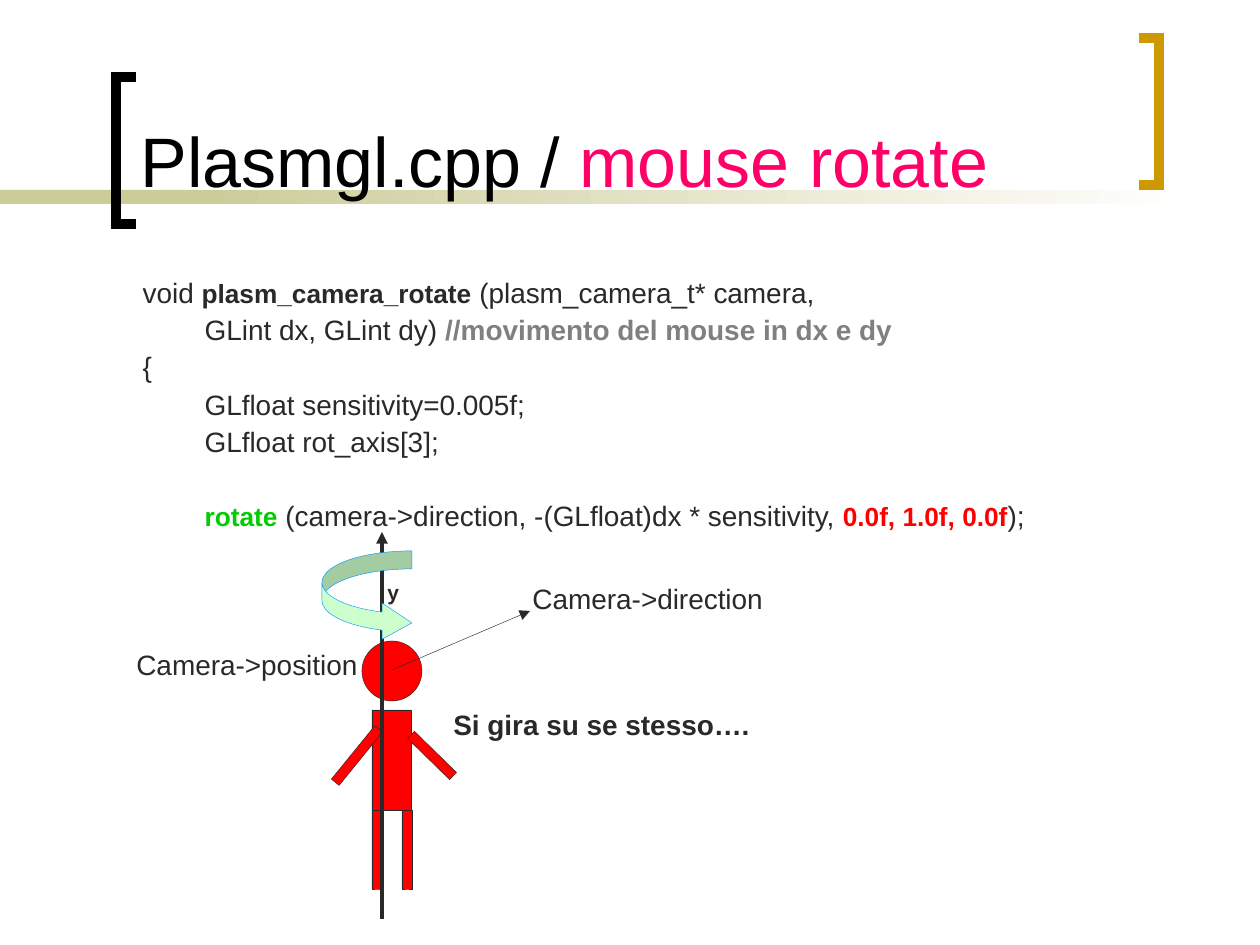
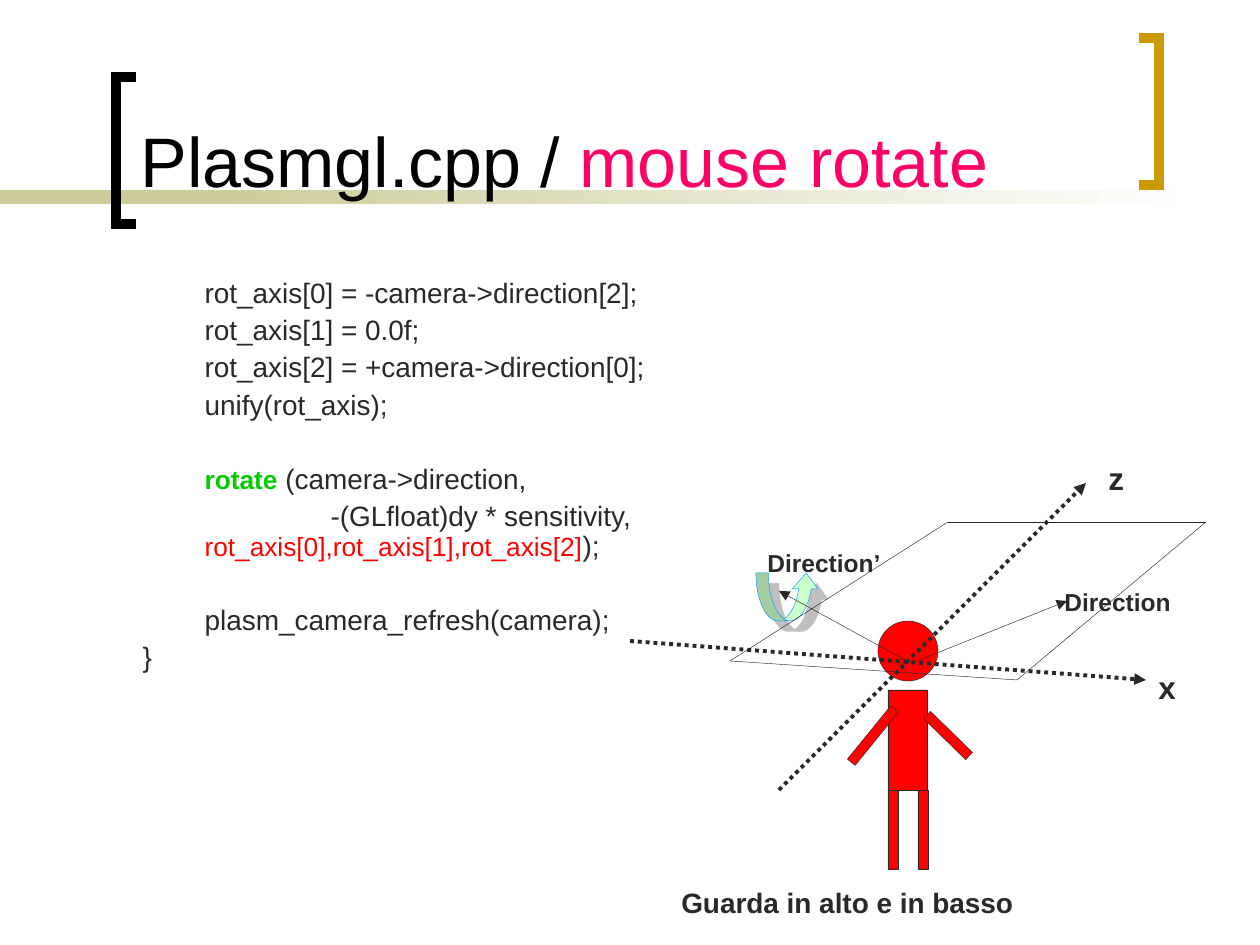
import typing

import lxml.etree
import pptx
import pptx.dml.color
import pptx.enum.dml
import pptx.enum.shapes
import pptx.enum.text
import pptx.oxml.ns
import pptx.util

SCALE = 914400 / 126  # EMU in one px
FONT = "Arial"
INK, BLACK, GREY = "292929", "000000", "808080"
RED, GREEN, PINK = "FF0000", "00CC00", "FF0066"
SAND, GOLD, WHITE = "CCCC99", "CC9900", "FFFFFF"
MINT, SKY = "CCFFCC", "0099FF"
THIN, THICK, HEAVY = 0.25, 2.25, 6
STEP, GAP = 4, 25  # points before a line, and before a new block
TAB = 62
FORM = pptx.enum.shapes.MSO_SHAPE
QN = pptx.oxml.ns.qn

Box = tuple[int, int, int, int]
Point = tuple[int, int]


class Span(typing.NamedTuple):
    text: str
    color: str = INK
    size: int = 16
    bold: bool = False


class Line(typing.NamedTuple):
    spans: list[Span]
    margin: int = TAB
    first: int = 0
    before: int = STEP


class Label(typing.NamedTuple):
    span: Span
    box: Box
    wrap: bool = False


class Ray(typing.NamedTuple):
    start: Point
    end: Point
    width: float = THIN
    dots: bool = False
    arrow: bool = True


class Limb(typing.NamedTuple):
    form: FORM
    box: Box
    turn: float = 0


BODY = [
    Limb(FORM.OVAL, (0, 0, 60, 60)),
    Limb(FORM.RECTANGLE, (10, 169, 10, 79)),
    Limb(FORM.RECTANGLE, (10, 69, 39, 100)),
    Limb(FORM.RECTANGLE, (40, 169, 10, 79)),
    Limb(FORM.RECTANGLE, (65, 85, 10, 59), 134.4),
    Limb(FORM.RECTANGLE, (-10, 80, 10, 69), 219.1),
]

TURN_CODE = [
    Line([Span("void "), Span("plasm_camera_rotate", size=15, bold=True),
          Span(" (plasm_camera_t* camera,")], margin=0),
    Line([Span("GLint dx, GLint dy) "),
          Span("//movimento del mouse in dx e dy", GREY, bold=True)]),
    Line([Span("{")], margin=0),
    Line([Span("GLfloat sensitivity=0.005f;")]),
    Line([Span("GLfloat rot_axis[3];")]),
    Line([Span("rotate", GREEN, 15, True),
          Span(" (camera->direction, -(GLfloat)dx * sensitivity, "),
          Span("0.0f, 1.0f, 0.0f", RED, 15, True), Span(");")], before=GAP),
]
TURN_TAGS = [
    Label(Span("y", size=12, bold=True), (375, 573, 37, 38)),
    Label(Span("Si gira su se stesso….", bold=True), (441, 701, 381, 47), True),
    Label(Span("Camera->direction"), (520, 575, 260, 47)),
    Label(Span("Camera->position"), (124, 641, 250, 47)),
]
TURN_RAYS = [
    Ray((382, 919), (382, 532), THICK),
    Ray((392, 670), (530, 611)),
]

TILT_CODE = [
    Line([Span("rot_axis[0] = -camera->direction[2];")]),
    Line([Span("rot_axis[1] = 0.0f;")]),
    Line([Span("rot_axis[2] = +camera->direction[0];")]),
    Line([Span("unify(rot_axis);")]),
    Line([Span("rotate", GREEN, 15, True), Span(" (camera->direction,")], before=GAP),
    Line([Span("-(GLfloat)dy * sensitivity, "),
          Span("rot_axis[0],rot_axis[1],rot_axis[2]", RED, 15), Span(");")], first=126),
    Line([Span("plasm_camera_refresh(camera);")], before=GAP),
    Line([Span("}")], margin=0),
]
TILT_TAGS = [
    Label(Span("Guarda in alto e in basso", bold=True), (669, 879, 381, 47), True),
    Label(Span("x", size=18, bold=True), (1146, 662, 43, 50)),
    Label(Span("z", size=18, bold=True), (1096, 453, 40, 50)),
    Label(Span("Direction", size=14, bold=True), (1052, 581, 140, 43)),
    Label(Span("Direction’", size=14, bold=True), (755, 542, 146, 43)),
]
PLANE = [(948, 522), (1206, 522), (1017, 680), (730, 661)]
TILT_RAYS = [Ray(a, b, arrow=False) for a, b in zip(PLANE, PLANE[1:] + PLANE[:1])] + [
    Ray((630, 641), (1146, 680), THICK, dots=True),
    Ray((779, 790), (1086, 483), THICK, dots=True),
    Ray((917, 661), (1067, 601)),
    Ray((907, 661), (779, 591)),
]


def px(n: int) -> pptx.util.Emu:
    return pptx.util.Emu(round(n * SCALE))


def rgb(code: str) -> pptx.dml.color.RGBColor:
    return pptx.dml.color.RGBColor.from_string(code)


def place(shape, box: Box) -> None:
    shape.left, shape.top, shape.width, shape.height = map(px, box)


def stroke(line, color: str, width: float) -> None:
    line.color.rgb = rgb(color)
    line.width = pptx.util.Pt(width)


def write(para, spans: list[Span]) -> None:
    for span in spans:
        run = para.add_run()
        run.text = span.text
        run.font.name = FONT
        run.font.size = pptx.util.Pt(span.size)
        run.font.bold = span.bold
        run.font.color.rgb = rgb(span.color)


def shape(slide, form: FORM, box: Box, fill: str, edge: str = ""):
    item = slide.shapes.add_shape(form, *map(px, box))
    item.shadow.inherit = False
    item.fill.solid()
    item.fill.fore_color.rgb = rgb(fill)
    if edge:
        stroke(item.line, edge, THIN)
    else:
        item.line.fill.background()
    return item


def bracket(slide, tip: int, spine: int, top: int, color: str):
    """Draw a square bracket with sharp corners."""
    base = top + 147
    form = slide.shapes.build_freeform(tip, top, SCALE)
    form.add_line_segments([(spine, top), (spine, base), (tip, base)], close=False)
    item = form.convert_to_shape()
    item.shadow.inherit = False
    item.fill.background()
    stroke(item.line, color, HEAVY)
    edge = item.element.spPr.find(QN("a:ln"))
    lxml.etree.SubElement(edge, QN("a:miter"), lim="800000")
    return item


def dress(layout, slide) -> None:
    """Build the bands and brackets, and hand them to the layout."""
    fade = shape(slide, FORM.RECTANGLE, (199, 190, 998, 14), SAND)
    fade.fill.gradient()
    fade.fill.gradient_angle = 180
    for stop, color in zip(fade.fill.gradient_stops, (WHITE, SAND)):
        stop.color.rgb = rgb(color)
    band = shape(slide, FORM.RECTANGLE, (0, 190, 199, 14), SAND)
    left = bracket(slide, 136, 116, 77, BLACK)
    right = bracket(slide, 1139, 1159, 38, GOLD)
    for item in (band, fade, left, right):
        layout.shapes.element.append(item.element)


def title(slide) -> None:
    head = slide.shapes.title
    place(head, (128, 14, 987, 194))
    frame = head.text_frame
    frame.auto_size = pptx.enum.text.MSO_AUTO_SIZE.NONE
    frame.vertical_anchor = pptx.enum.text.MSO_ANCHOR.BOTTOM
    para = frame.paragraphs[0]
    para.alignment = pptx.enum.text.PP_ALIGN.LEFT
    write(para, [Span("Plasmgl.cpp / ", BLACK, 40), Span("mouse rotate", PINK, 40)])


def code(slide, lines: list[Line], width: int) -> None:
    body = slide.placeholders[1]
    place(body, (130, 273, width, 567))
    frame = body.text_frame
    frame.auto_size = pptx.enum.text.MSO_AUTO_SIZE.NONE
    for i, line in enumerate(lines):
        para = frame.add_paragraph() if i else frame.paragraphs[0]
        props = para._p.get_or_add_pPr()
        props.set("marL", str(px(line.margin)))
        props.set("indent", str(px(line.first)))
        lxml.etree.SubElement(props, QN("a:buNone"))
        para.line_spacing = 0.9
        para.space_before = pptx.util.Pt(line.before if i else 0)
        write(para, line.spans)


def person(slide, x: int, y: int) -> None:
    for limb in BODY:
        left, top, wide, high = limb.box
        item = shape(slide, limb.form, (x + left, y + top, wide, high), RED, INK)
        item.rotation = limb.turn


def label(slide, tag: Label) -> None:
    frame = slide.shapes.add_textbox(*map(px, tag.box)).text_frame
    frame.word_wrap = tag.wrap
    frame.auto_size = pptx.enum.text.MSO_AUTO_SIZE.SHAPE_TO_FIT_TEXT
    write(frame.paragraphs[0], [tag.span])


def draw(slide, ray: Ray) -> None:
    kind = pptx.enum.shapes.MSO_CONNECTOR.STRAIGHT
    item = slide.shapes.add_connector(kind, *map(px, ray.start + ray.end))
    stroke(item.line, INK, ray.width)
    if ray.dots:
        item.line.dash_style = pptx.enum.dml.MSO_LINE.ROUND_DOT
    props = item.element.spPr
    if ray.arrow:
        lxml.etree.SubElement(props.find(QN("a:ln")), QN("a:tailEnd"), type="triangle")
    lxml.etree.SubElement(props, QN("a:effectLst"))


def curl(slide, form: FORM, box: Box, bends: list[float]):
    """Draw a curved arrow with its shaft, head and tip ratios."""
    item = shape(slide, form, box, MINT, SKY)
    for i, bend in enumerate(bends):
        item.adjustments[i] = bend
    return item


def shade(item) -> None:
    """Give a shape a half-clear grey shadow to its lower right."""
    effects = item.element.spPr.find(QN("a:effectLst"))
    cast = lxml.etree.SubElement(effects, QN("a:outerShdw"), dist=str(pptx.util.Pt(8.5)),
                                 dir="2700000", algn="ctr", rotWithShape="0")
    tint = lxml.etree.SubElement(cast, QN("a:srgbClr"), val=GREY)
    lxml.etree.SubElement(tint, QN("a:alpha"), val="50000")


def figure(slide, x: int, y: int, tags: list[Label], rays: list[Ray]) -> None:
    person(slide, x, y)
    for tag in tags:
        label(slide, tag)
    for ray in rays:
        draw(slide, ray)


def main() -> None:
    deck = pptx.Presentation()
    deck.slide_width, deck.slide_height = px(1260), px(945)
    layout = deck.slide_layouts[1]
    turn, tilt = (deck.slides.add_slide(layout) for _ in range(2))
    dress(layout, turn)

    title(turn)
    code(turn, TURN_CODE, 1056)
    figure(turn, 362, 641, TURN_TAGS, TURN_RAYS)
    curl(turn, FORM.CURVED_RIGHT_ARROW, (322, 551, 90, 90), [0.2, 0.4, 0.33])

    title(tilt)
    code(tilt, TILT_CODE, 558)
    shade(curl(tilt, FORM.CURVED_UP_ARROW, (756, 573, 63, 48), [0.26, 0.53, 0.33]))
    figure(tilt, 878, 621, TILT_TAGS, TILT_RAYS)

    deck.save("out.pptx")


if __name__ == "__main__":
    main()
